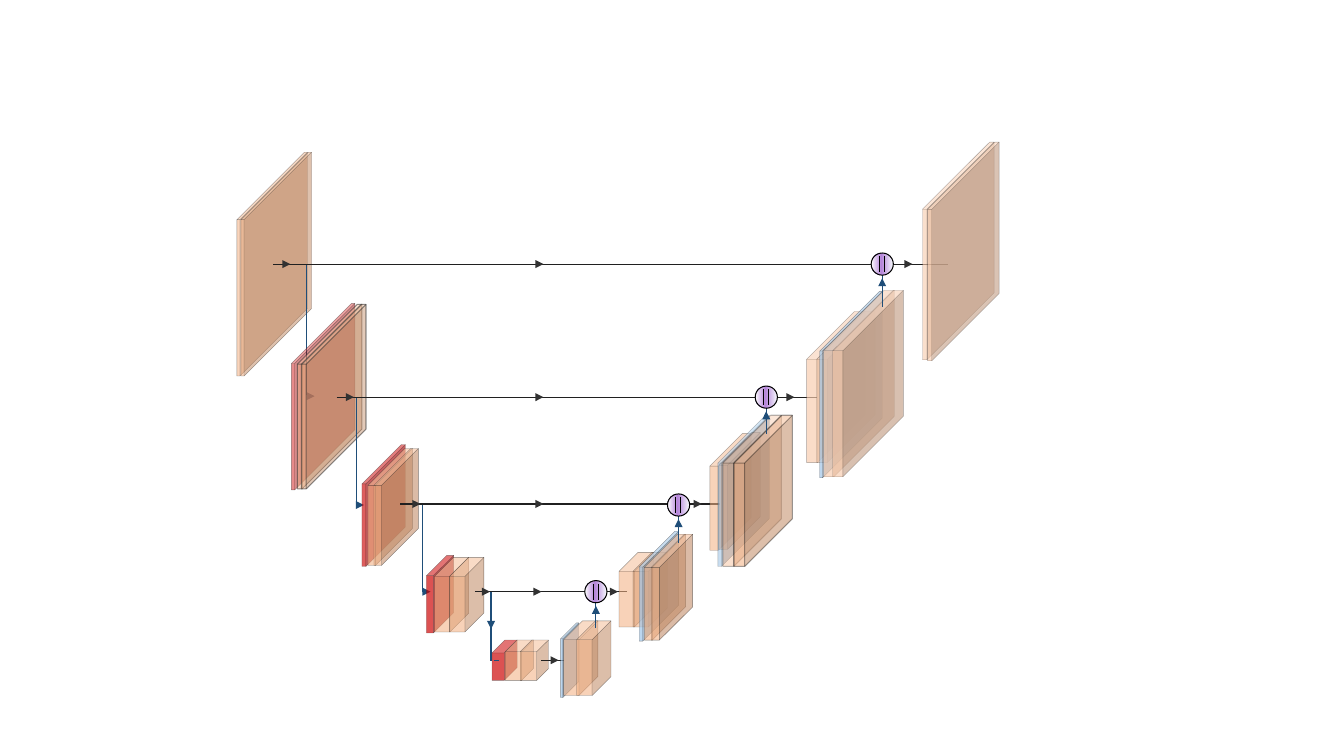
from collections import namedtuple

from pptx import Presentation
from pptx.dml.color import RGBColor
from pptx.enum.shapes import MSO_CONNECTOR as Link, MSO_SHAPE as Preset
from pptx.oxml.ns import qn
from pptx.oxml.xmlchemy import OxmlElement
from pptx.util import Cm, Pt

INK, HEAD, BLUE, BLACK = "202020", "323232", "1F4E79", "000000"
PEACH, BLUSH, RED, SKY = "F4B183", "F8CBAD", "CC0000", "9DC3E6"
HEAD_SIZE = 0.08
RIGHT, DOWN, UP = 90, 180, 0

# Layer: one or more equal slabs; lefts and top are relative to the stage
Layer = namedtuple("Layer", "lefts top width height depth color opacity "
                   "edge edge_width edge_opacity",
                   defaults=(INK, 0.25, 47))

# Each stage: left, top, layers from back to front
INPUT = (2.35, 1.51, [Layer((0, 0.04), 0, 0.7, 2.22, 0.956, PEACH, 54)])
ENCODERS = [
    (2.89, 3.01, [
        Layer((0,), 0, 0.63, 1.85, 0.946, RED, 46),
        Layer((0.06, 0.1), 0.01, 0.64, 1.83, 0.926, PEACH, 46, HEAD, 0, 55)]),
    (3.59, 4.41, [
        Layer((0,), 0, 0.43, 1.21, 0.91, RED, 63),
        Layer((0.06, 0.12), 0.04, 0.44, 1.16, 0.832, PEACH, 59, INK, 0.25, 55)]),
    (4.23, 5.51, [
        Layer((0,), 0, 0.27, 0.77, 0.745, RED, 68),
        Layer((0.08, 0.23), 0.02, 0.34, 0.74, 0.551, PEACH, 57, INK, 0.25, 55)]),
    (4.88, 6.35, [
        Layer((0,), 0, 0.25, 0.4, 0.512, RED, 68),
        Layer((0.13, 0.28), 0, 0.28, 0.4, 0.415, PEACH, 57, INK, 0.25, 55)]),
]
DECODERS = [
    (5.56, 6.16, [
        Layer((0,), 0.02, 0.18, 0.74, 0.872, SKY, 68),
        Layer((0.03, 0.16), 0, 0.34, 0.74, 0.551, PEACH, 57, INK, 0.25, 55)]),
    (6.14, 5.27, [
        Layer((0, 0.14), 0.21, 0.34, 0.74, 0.551, PEACH, 57, INK, 0.25, 55),
        Layer((0.2,), 0, 0.39, 1.09, 0.91, SKY, 68),
        Layer((0.25, 0.32), 0.03, 0.41, 1.05, 0.804, PEACH, 59, INK, 0.25, 55)]),
    (7.04, 4.12, [
        Layer((0,), 0.18, 0.41, 1.16, 0.792, PEACH, 56, INK, 0.25, 42),
        Layer((0.09,), 0.17, 0.41, 1.16, 0.792, PEACH, 59, INK, 0.25, 55),
        Layer((0.08,), 0, 0.51, 1.5, 0.93, SKY, 56, INK, 0.25, 32),
        Layer((0.13,), 0, 0.58, 1.5, 0.818, PEACH, 39, BLACK, 0, 27),
        Layer((0.24,), 0, 0.58, 1.5, 0.818, PEACH, 56, BLACK, 0, 37)]),
    (8, 2.88, [
        Layer((0, 0.1), 0.21, 0.58, 1.5, 0.818, BLUSH, 67, BLACK, 0.25, 32),
        Layer((0.13,), 0.01, 0.62, 1.85, 0.956, SKY, 67),
        Layer((0.17, 0.26), 0, 0.7, 1.85, 0.857, BLUSH, 67, BLACK, 0.25, 32)]),
]
OUTPUT = (9.15, 1.41, [
    Layer((0,), 0, 0.71, 2.16, 0.938, BLUSH, 61, BLACK, 0.25, 32),
    Layer((0.05,), 0, 0.71, 2.17, 0.941, BLUSH, 64, BLACK, 0.25, 32)])

# Downsampling: x, top, bottom, arrowhead left, arrowhead top, arrowhead turn
DESCENTS = [
    (3.04, 2.62, 3.92, 3.04, 3.89, RIGHT),
    (3.54, 3.94, 5, 3.53, 4.97, RIGHT),
    (4.19, 5.01, 5.87, 4.19, 5.83, RIGHT),
    (4.87, 5.87, 6.56, 4.83, 6.16, DOWN),
]
# Horizontal flow: y, start, end, lefts of the arrowheads
FLOWS = [
    (2.62, 2.71, 9.4, (2.8, 5.31, 8.97)),
    (3.94, 3.34, 8.1, (3.43, 5.31, 7.8)),
    (5, 3.97, 7.14, (4.09, 5.31, 6.88)),
    (5.87, 4.71, 6.22, (4.78, 5.29, 6.05)),
    (6.55, 5.37, 5.59, (5.46,)),
]
# Concatenation: centre x, centre y, bottom of the upsampling line
JOINS = [(5.91, 5.87, 6.23), (6.73, 5.01, 5.39), (7.6, 3.94, 4.31), (8.75, 2.62, 3.05)]


def grid(units):
    """One layout unit is 2.54 cm."""
    return Cm(units * 2.54)


def rgb(code):
    return RGBColor.from_string(code)


def set_opacity(solid_fill, percent):
    alpha = OxmlElement("a:alpha")
    alpha.set("val", str(percent * 1000))
    solid_fill.find(qn("a:srgbClr")).append(alpha)


def add_preset(shapes, preset, left, top, width, height, color=None):
    part = shapes.add_shape(preset, *map(grid, (left, top, width, height)))
    part.shadow.inherit = False
    if color:
        part.fill.solid()
        part.fill.fore_color.rgb = rgb(color)
    return part


def add_line(shapes, start, end, color, width=0.75):
    line = shapes.add_connector(Link.STRAIGHT, *map(grid, (*start, *end)))
    line.line.color.rgb = rgb(color)
    line.line.width = Pt(width)
    line._element.spPr.append(OxmlElement("a:effectLst"))


def add_head(shapes, left, top, turn, color):
    head = add_preset(shapes, Preset.ISOSCELES_TRIANGLE, left, top,
                      HEAD_SIZE, HEAD_SIZE, color)
    head.line.fill.background()
    head.rotation = turn


def add_slab(shapes, left, top, layer):
    slab = add_preset(shapes, Preset.CUBE, left, top, layer.width, layer.height, layer.color)
    slab.adjustments[0] = layer.depth
    slab.line.color.rgb = rgb(layer.edge)
    slab.line.width = Pt(layer.edge_width)
    properties = slab._element.spPr
    set_opacity(properties.find(qn("a:solidFill")), layer.opacity)
    set_opacity(properties.find(qn("a:ln")).find(qn("a:solidFill")), layer.edge_opacity)


def add_stage(slide, left, top, layers):
    stage = slide.shapes.add_group_shape().shapes
    for layer in layers:
        for offset in layer.lefts:
            add_slab(stage, left + offset, top + layer.top, layer)


def add_descent(slide, x, top, bottom, head_left, head_top, turn):
    add_line(slide.shapes, (x, top), (x, bottom), BLUE)
    add_head(slide.shapes, head_left, head_top, turn, BLUE)


def add_flow(slide, y, start, end, heads):
    add_line(slide.shapes, (start, y), (end, y), INK)
    for left in heads:
        add_head(slide.shapes, left, y - HEAD_SIZE / 2, RIGHT, HEAD)


def add_join(slide, x, y, bottom, radius=0.11):
    # Upsampling arrow
    add_line(slide.shapes, (x, y + radius), (x, bottom), BLUE)
    add_head(slide.shapes, x - HEAD_SIZE / 2, y + 0.14, UP, BLUE)
    # Circle with a three-stop gradient
    join = slide.shapes.add_group_shape().shapes
    circle = add_preset(join, Preset.OVAL, x - radius, y - radius, 2 * radius, 2 * radius)
    circle.fill.gradient()
    circle.fill.gradient_angle = 180
    stops = circle._element.spPr.find(qn("a:gradFill")).find(qn("a:gsLst"))
    for old_stop in list(stops):
        stops.remove(old_stop)
    for position, code in ((0, "F7FAFD"), (54, "B584DA"), (100, "FFFFFF")):
        stop, color = OxmlElement("a:gs"), OxmlElement("a:srgbClr")
        stop.set("pos", str(position * 1000))
        color.set("val", code)
        stop.append(color)
        stops.append(stop)
    circle.line.color.rgb = rgb(BLACK)
    circle.line.width = Pt(0)
    # Two bars: the concatenation sign
    for bar in (x - 0.03, x + 0.02):
        add_line(join, (bar, y - 0.08), (bar, y + 0.08), BLACK, width=0.4)


def main():
    deck = Presentation()
    deck.slide_width, deck.slide_height = grid(13.33), grid(7.5)
    slide = deck.slides.add_slide(deck.slide_layouts[6])

    # Contracting side
    add_stage(slide, *INPUT)
    for descent, encoder in zip(DESCENTS, ENCODERS):
        add_descent(slide, *descent)
        add_stage(slide, *encoder)
    add_line(slide.shapes, (4.9, 6.55), (4.95, 6.55), BLUE, width=0.5)

    # Skip connections and bottleneck
    for flow in FLOWS:
        add_flow(slide, *flow)

    # Expanding side
    for decoder, join in zip(DECODERS, JOINS):
        add_stage(slide, *decoder)
        add_join(slide, *join)
    add_stage(slide, *OUTPUT)

    deck.save("out.pptx")


if __name__ == "__main__":
    main()
